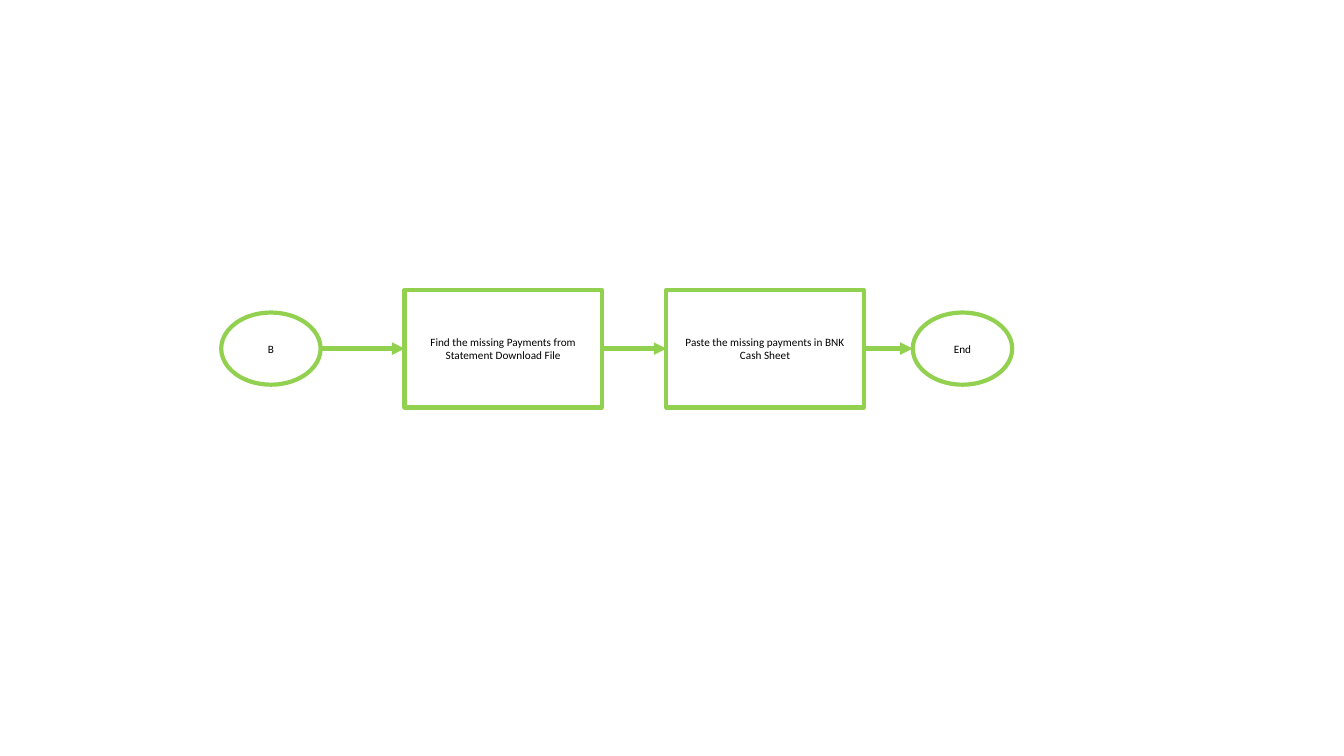
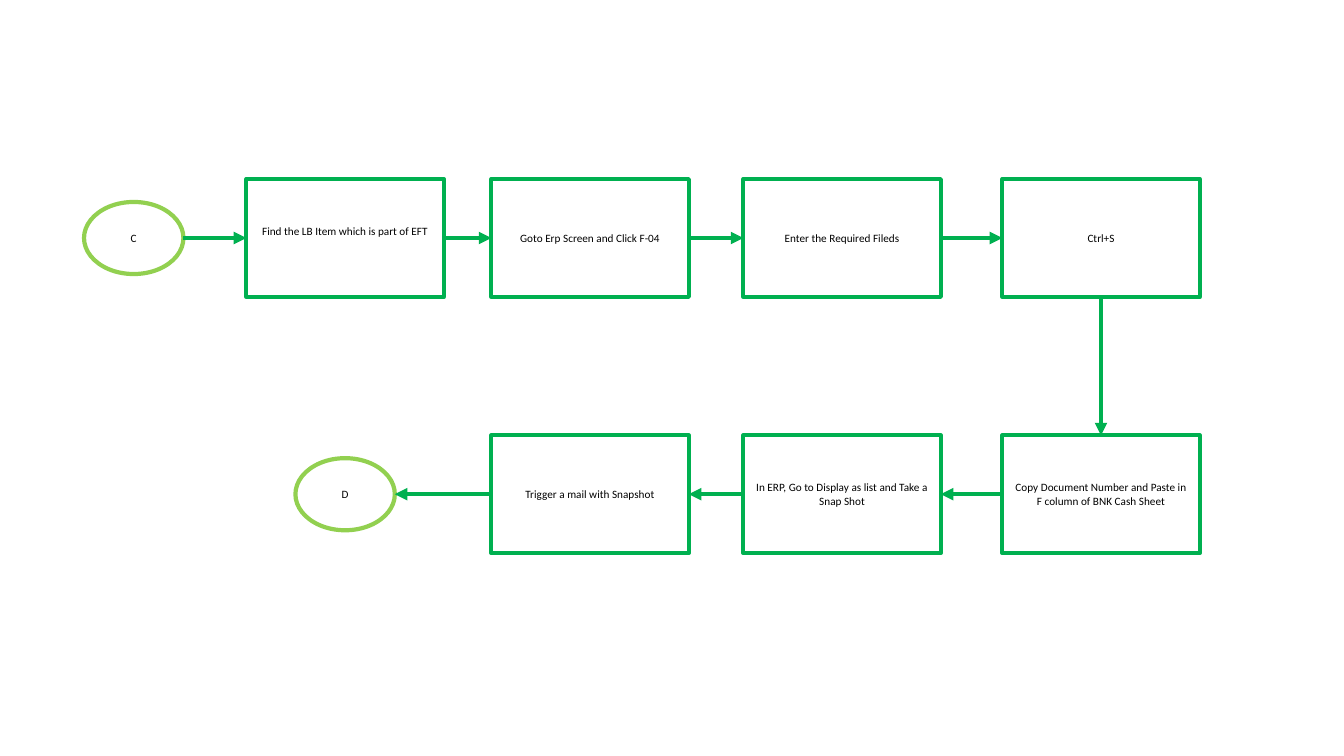
from itertools import pairwise

from lxml.etree import SubElement
from pptx import Presentation
from pptx.dml.color import RGBColor
from pptx.enum.shapes import MSO_CONNECTOR, MSO_SHAPE
from pptx.enum.text import MSO_ANCHOR, PP_ALIGN
from pptx.oxml.ns import qn
from pptx.util import Pt

COLORS = {"light": "92D050", "green": "00B050", "white": "FFFFFF", "black": "000000"}
FONT, TEXT_SIZE, LINE_WIDTH = "Calibri", 8, 3
PROCESS_SIZE = (141, 84)
TERMINAL_SIZE = (71, 51.5)
# Connection sites of each preset, by side
SITES = {
    MSO_SHAPE.FLOWCHART_PROCESS: {"top": 0, "left": 1, "bottom": 2, "right": 3},
    MSO_SHAPE.FLOWCHART_CONNECTOR: {"top": 0, "left": 2, "bottom": 4, "right": 6},
}


def rgb(name):
    return RGBColor.from_string(COLORS[name])


def add_node(s, preset, size, left, middle, text, color):
    """Add an outlined flowchart shape centred vertically on middle."""
    width, height = size
    sp = s.shapes.add_shape(preset, Pt(left), Pt(middle - height / 2), Pt(width), Pt(height))
    sp.shadow.inherit = False
    sp.fill.solid()
    sp.fill.fore_color.rgb = rgb("white")
    sp.line.color.rgb = rgb(color)
    sp.line.width = Pt(LINE_WIDTH)
    tf = sp.text_frame
    tf.word_wrap = True
    tf.vertical_anchor = MSO_ANCHOR.MIDDLE
    p = tf.paragraphs[0]
    p.alignment = PP_ALIGN.CENTER
    r = p.add_run()
    r.text = text
    r.font.name = FONT
    r.font.size = Pt(TEXT_SIZE)
    r.font.color.rgb = rgb("black")
    return sp


def add_process(s, left, middle, text, color):
    return add_node(s, MSO_SHAPE.FLOWCHART_PROCESS, PROCESS_SIZE, left, middle, text, color)


def add_terminal(s, left, middle, text):
    return add_node(s, MSO_SHAPE.FLOWCHART_CONNECTOR, TERMINAL_SIZE, left, middle, text, "light")


def side_point(sp, side):
    x = {"left": 0, "right": sp.width}.get(side, sp.width // 2)
    y = {"top": 0, "bottom": sp.height}.get(side, sp.height // 2)
    return sp.left + x, sp.top + y


def facing_sides(start, end):
    if start.left == end.left:
        return "bottom", "top"
    return ("right", "left") if start.left < end.left else ("left", "right")


def add_arrow(s, start, end, color):
    """Add an arrow glued to the facing sides of two nodes."""
    sides = facing_sides(start, end)
    ends = side_point(start, sides[0]) + side_point(end, sides[1])
    c = s.shapes.add_connector(MSO_CONNECTOR.STRAIGHT, *ends)
    c.line.color.rgb = rgb(color)
    c.line.width = Pt(LINE_WIDTH)
    SubElement(c.line._get_or_add_ln(), qn("a:tailEnd"), type="triangle")
    SubElement(c._element.spPr, qn("a:effectLst"))
    glue = c._element.find(".//" + qn("p:cNvCxnSpPr"))
    for tag, sp, side in zip(("a:stCxn", "a:endCxn"), (start, end), sides):
        site = SITES[sp.auto_shape_type][side]
        SubElement(glue, qn(tag), id=str(sp.shape_id), idx=str(site))


def add_flow_arrows(s, nodes, color):
    for start, end in pairwise(nodes):
        add_arrow(s, start, end, color)


def add_missing_payments(s):
    middle = 249
    nodes = [
        add_terminal(s, 158, middle, "B"),
        add_process(s, 289, middle, "Find the missing Payments from Statement Download File", "light"),
        add_process(s, 476, middle, "Paste the missing payments in BNK Cash Sheet", "light"),
        add_terminal(s, 652, middle, "End"),
    ]
    add_flow_arrows(s, nodes, "light")


def add_document_posting(s):
    upper, lower = 170, 353
    find_left, *columns = 176, 351, 531, 716
    find_item = add_process(s, find_left, upper, "Find the LB Item which is part of EFT", "green")
    find_item.text_frame.margin_bottom = Pt(13)
    upper_texts = ["Goto Erp Screen and Click F-04", "Enter the Required Fileds", "Ctrl+S"]
    lower_texts = [
        "Copy Document Number and Paste in F column of BNK Cash Sheet",
        "In ERP, Go to Display as list and Take a Snap Shot",
        "Trigger a mail with Snapshot",
    ]
    nodes = [
        add_terminal(s, 60, upper, "C"),
        find_item,
        *(add_process(s, x, upper, text, "green") for x, text in zip(columns, upper_texts)),
        *(add_process(s, x, lower, text, "green") for x, text in zip(reversed(columns), lower_texts)),
        add_terminal(s, 211, lower, "D"),
    ]
    add_flow_arrows(s, nodes, "green")


def main():
    prs = Presentation()
    prs.slide_width, prs.slide_height = Pt(960), Pt(540)
    for build in (add_missing_payments, add_document_posting):
        build(prs.slides.add_slide(prs.slide_layouts[6]))
    prs.save("out.pptx")


if __name__ == "__main__":
    main()
